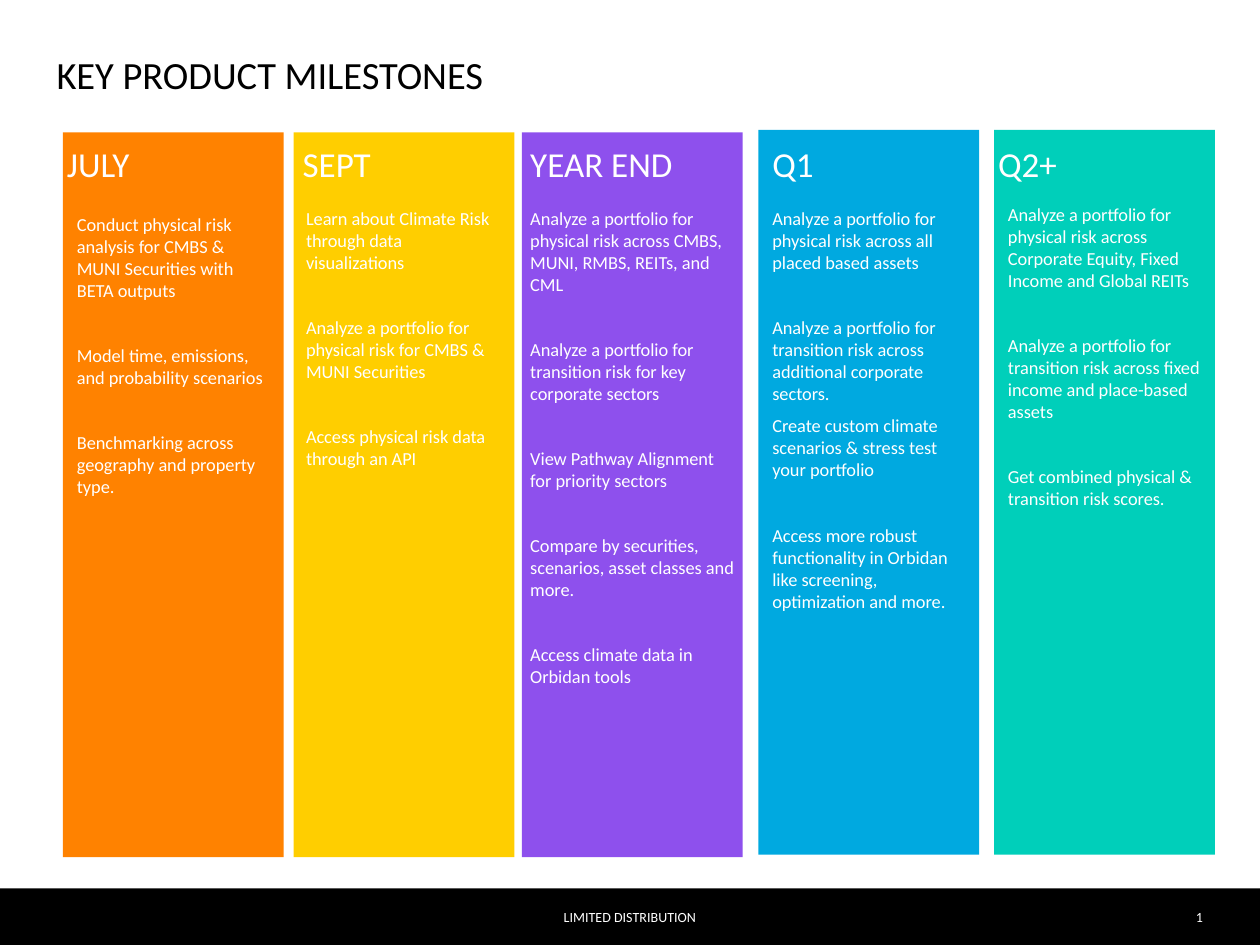
from dataclasses import dataclass

from pptx import Presentation
from pptx.dml.color import RGBColor as Color
from pptx.enum.shapes import MSO_SHAPE as Shape
from pptx.enum.text import MSO_ANCHOR as Anchor, MSO_AUTO_SIZE as AutoSize, PP_ALIGN as Align
from pptx.util import Cm, Pt


@dataclass(frozen=True)
class Theme:
    font: str = "Calibri"
    black: str = "000000"
    white: str = "FFFFFF"
    orange: str = "FF8200"
    yellow: str = "FFCE00"
    purple: str = "8E50ED"
    blue: str = "00A9E0"
    teal: str = "00CFBA"
    title_size: float = 22
    heading_size: float = 20
    body_size: float = 10.5
    footer_size: float = 8
    paragraph_space: float = 6
    group_space: float = 24.6


@dataclass(frozen=True)
class Milestone:
    heading: str
    color: str
    left: float
    top: float
    heading_left: float
    heading_width: float
    body_box: tuple
    groups: list


THEME = Theme()
COLUMN_WIDTH, COLUMN_HEIGHT = 4.45, 14.61
HEADING_TOP, HEADING_HEIGHT = 2.87, 0.86
FOOTER_TOP, FOOTER_HEIGHT = 17.91, 1.14

MILESTONES = [
    Milestone("JULY", THEME.orange, 1.27, 2.67, 1.35, 1.78, (1.55, 4.29, 3.78, 6.25), [
        ["Conduct physical risk analysis for CMBS & MUNI Securities with BETA outputs"],
        ["Model time, emissions, and probability scenarios"],
        ["Benchmarking across geography and property type."],
    ]),
    Milestone("SEPT", THEME.yellow, 5.92, 2.67, 6.1, 1.8, (6.17, 4.17, 3.78, 5.79), [
        ["Learn about Climate Risk through data visualizations"],
        ["Analyze a portfolio for physical risk for CMBS & MUNI Securities"],
        ["Access physical risk data through an API"],
    ]),
    Milestone("YEAR END", THEME.purple, 10.52, 2.67, 10.69, 3.58, (10.69, 4.17, 4.14, 10.9), [
        ["Analyze a portfolio for physical risk across CMBS, MUNI, RMBS, REITs, and CML"],
        ["Analyze a portfolio for transition risk for key corporate sectors"],
        ["View Pathway Alignment for priority sectors"],
        ["Compare by securities, scenarios, asset classes and more."],
        ["Access climate data in Orbidan tools"],
    ]),
    Milestone("Q1", THEME.blue, 15.29, 2.62, 15.57, 1, (15.57, 4.17, 4.01, 9.37), [
        ["Analyze a portfolio for physical risk across all placed based assets"],
        ["Analyze a portfolio for transition risk across additional corporate sectors.",
         "Create custom climate scenarios & stress test your portfolio"],
        ["Access more robust functionality in Orbidan like screening, optimization and more."],
    ]),
    Milestone("Q2+", THEME.teal, 20.04, 2.62, 20.12, 1.37, (20.32, 4.09, 3.94, 7.8), [
        ["Analyze a portfolio for physical risk across Corporate Equity, Fixed Income "
         "and Global REITs"],
        ["Analyze a portfolio for transition risk across fixed income and place-based assets"],
        ["Get combined physical & transition risk scores."],
    ]),
]


def write_paragraph(paragraph, text, *, size, color, align=Align.LEFT, space_before=0):
    paragraph.alignment = align
    paragraph.space_before = Pt(space_before)
    run = paragraph.add_run()
    run.text = text
    run.font.name = THEME.font
    run.font.size = Pt(size)
    run.font.color.rgb = Color.from_string(color)


class SlideBuilder:
    def __init__(self, slide, theme):
        self.slide = slide
        self.theme = theme

    def frame(self, shape, *, anchor=Anchor.TOP, wrap=True, auto_size=AutoSize.NONE):
        frame = shape.text_frame
        frame.margin_left = frame.margin_right = frame.margin_top = frame.margin_bottom = 0
        frame.vertical_anchor = anchor
        frame.word_wrap = wrap
        frame.auto_size = auto_size
        return frame

    def title(self, text, left, top, width, height):
        shape = self.slide.shapes.title
        shape.left, shape.top, shape.width, shape.height = map(Cm, (left, top, width, height))
        frame = self.frame(shape)
        write_paragraph(frame.paragraphs[0], text,
                        size=self.theme.title_size, color=self.theme.black)

    def rectangle(self, color, left, top, width, height):
        shape = self.slide.shapes.add_shape(Shape.RECTANGLE, *map(Cm, (left, top, width, height)))
        shape.shadow.inherit = False
        shape.fill.solid()
        shape.fill.fore_color.rgb = Color.from_string(color)
        shape.line.fill.background()

    def text_box(self, groups, box, *, size, align=Align.LEFT, **frame_format):
        shape = self.slide.shapes.add_textbox(*map(Cm, box))
        frame = self.frame(shape, **frame_format)
        for group_index, group in enumerate(groups):
            for index, text in enumerate(group):
                first = group_index == 0 and index == 0
                paragraph = frame.paragraphs[0] if first else frame.add_paragraph()
                space = self.theme.paragraph_space if index else self.theme.group_space
                write_paragraph(paragraph, text, size=size, color=self.theme.white,
                                align=align, space_before=0 if first else space)

    def milestone(self, milestone):
        self.rectangle(milestone.color, milestone.left, milestone.top,
                       COLUMN_WIDTH, COLUMN_HEIGHT)
        heading_box = (milestone.heading_left, HEADING_TOP,
                       milestone.heading_width, HEADING_HEIGHT)
        self.text_box([[milestone.heading]], heading_box, size=self.theme.heading_size,
                      wrap=False, auto_size=AutoSize.SHAPE_TO_FIT_TEXT)
        self.text_box(milestone.groups, milestone.body_box, size=self.theme.body_size,
                      auto_size=AutoSize.SHAPE_TO_FIT_TEXT)

    def footer(self, text, number):
        self.rectangle(self.theme.black, 0, FOOTER_TOP, 25.4, FOOTER_HEIGHT)
        for content, left, width, align in (
            (text, 5.08, 15.24, Align.CENTER),
            (number, 23.11, 1.14, Align.RIGHT),
        ):
            self.text_box([[content]], (left, FOOTER_TOP, width, FOOTER_HEIGHT),
                          size=self.theme.footer_size, align=align, anchor=Anchor.MIDDLE)


def main():
    presentation = Presentation()
    presentation.slide_width, presentation.slide_height = Cm(25.4), Cm(19.05)
    slide = presentation.slides.add_slide(presentation.slide_layouts[5])
    builder = SlideBuilder(slide, THEME)
    builder.title("KEY PRODUCT MILESTONES", 1.14, 1.02, 23.11, 1.65)
    builder.footer("LIMITED DISTRIBUTION", "1")
    for milestone in MILESTONES:
        builder.milestone(milestone)
    presentation.save("out.pptx")


if __name__ == "__main__":
    main()
